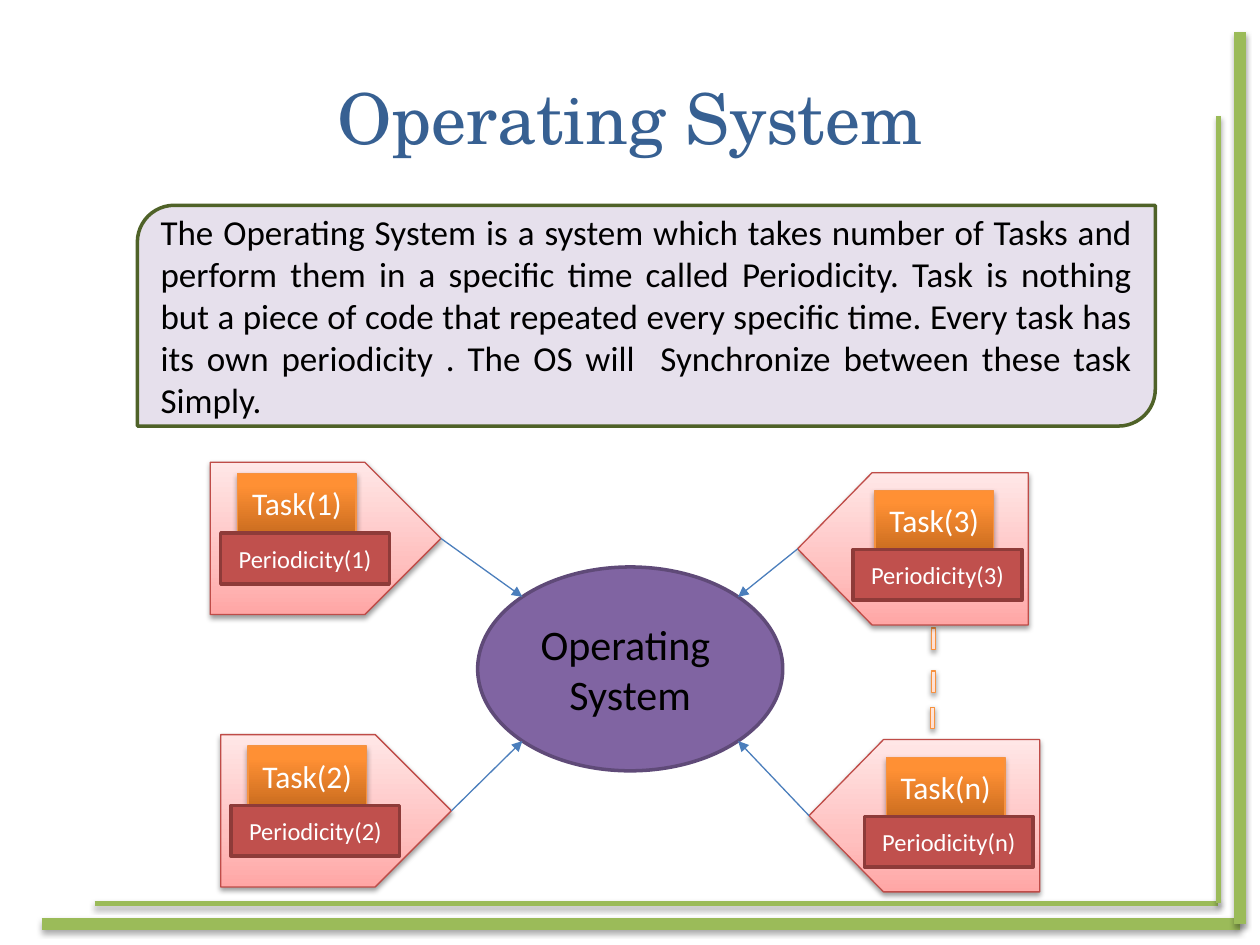
"""Build the operating system slide: tasks feeding a central scheduler."""
from dataclasses import dataclass
from math import sqrt

from lxml import etree
from pptx import Presentation
from pptx.dml.color import RGBColor
from pptx.enum import shapes, text
from pptx.oxml.ns import qn
from pptx.util import Cm, Pt

KIND = shapes.MSO_SHAPE
ALIGN = text.PP_ALIGN


@dataclass(frozen=True)
class Theme:
    """Colours, fonts and type sizes."""
    head: str = "376092"
    ink: str = "000000"
    white: str = "FFFFFF"
    frame: str = "9BBB59"
    note: str = "E6E0EC"
    moss: str = "4F6228"
    hub: str = "8064A2"
    plum: str = "5F4A78"
    brick: str = "C0504D"
    rust: str = "8E3B39"
    rose: str = "BF4C48"
    amber: str = "F69240"
    arrow: str = "4B7EBC"
    plate: tuple = ((0, "FFA6A5"), (35, "FFC0BF"), (100, "FFE7E7"))
    task: tuple = ((0, "CC6E20"), (80, "FF9034"), (100, "FF9136"))
    dash: tuple = ((0, "FFD2BD"), (35, "FFDED0"), (100, "FFF2ED"))
    serif: str = "TeX Gyre Schola"
    sans: str = "Calibri"
    title: int = 40
    large: int = 24
    body: int = 20
    label: int = 18
    small: int = 14


T = Theme()
SOFT = (38, 1.6)
HARD = (35, 1.8)
HUB = (9.63, 11.43, 6.15, 4.11)
PLATE = (4.65, 3.07)
TASKS = (
    ("1", 4.24, 9.32, False),
    ("2", 4.45, 14.81, False),
    ("3", 16.08, 9.53, True),
    ("n", 16.31, 14.91, True),
)
FRAME = (
    (1.91, 18.21, 24.56, 18.21, 3),
    (0.84, 18.62, 25, 18.62, 6.75),
    (25, 18.62, 25, 0.64, 6.75),
    (24.56, 18.21, 24.56, 2.34, 3),
)
DASHES = ((18.76, 12.83, True), (18.74, 13.56, False), (18.76, 11.96, True))
NOTE = (
    "The Operating System is a system which takes number of Tasks and perform "
    "them in a specific time called Periodicity. Task is nothing but a piece of "
    "code that repeated every specific time. Every task has its own periodicity "
    ". The OS will  Synchronize between these task Simply."
)


def rgb(code):
    """Return a colour from its hex code."""
    return RGBColor.from_string(code)


def node(parent, tag, **attrs):
    """Append a drawing element with attributes."""
    return etree.SubElement(parent, qn(tag), {k: str(v) for k, v in attrs.items()})


def shade(effect, cast):
    """Add a downward shadow to an effect list."""
    alpha, dist = cast
    drop = node(effect, "a:outerShdw", blurRad=Pt(3.1), dist=Pt(dist),
                dir=5400000, rotWithShape=0)
    tint = node(drop, "a:srgbClr", val=T.ink)
    node(tint, "a:alpha", val=alpha * 1000)


def blend(shape, stops):
    """Fill a shape with a gradient rising from its lower edge."""
    shape.fill.gradient()
    shape.fill.gradient_angle = 90
    ramp = shape._element.spPr.find(".//" + qn("a:gsLst"))
    for stop in list(ramp):
        ramp.remove(stop)
    for place, code in stops:
        node(node(ramp, "a:gs", pos=place * 1000), "a:srgbClr", val=code)


def stroke(item, code, width):
    """Set the colour and width of a line."""
    item.line.color.rgb = rgb(code)
    item.line.width = Pt(width)


def write(shape, lines, size, code, font=T.sans, align=ALIGN.CENTER):
    """Write each line as a paragraph, vertically centred."""
    frame = shape.text_frame
    frame.word_wrap = True
    frame.vertical_anchor = text.MSO_ANCHOR.MIDDLE
    for i, line in enumerate(lines):
        para = frame.add_paragraph() if i else frame.paragraphs[0]
        para.alignment = align
        run = para.add_run()
        run.text = line
        run.font.name = font
        run.font.size = Pt(size)
        run.font.color.rgb = rgb(code)


def block(slide, kind, box, fill, edge, width=0.75, cast=None, flip=False):
    """Add a preset shape with a solid or gradient fill."""
    shape = slide.shapes.add_shape(kind, *(Cm(v) for v in box))
    if isinstance(fill, str):
        shape.fill.solid()
        shape.fill.fore_color.rgb = rgb(fill)
    else:
        blend(shape, fill)
    stroke(shape, edge, width)
    shape.shadow.inherit = False
    props = shape._element.spPr
    if cast:
        shade(props.find(qn("a:effectLst")), cast)
    if flip:
        props.find(qn("a:xfrm")).set("flipH", "1")
    return shape


def link(slide, ends, code, width, cast=None, head=False):
    """Add a straight line, with a shadow or arrowhead if asked."""
    line = slide.shapes.add_connector(
        shapes.MSO_CONNECTOR.STRAIGHT, *(Cm(v) for v in ends))
    stroke(line, code, width)
    if head:
        node(line.line._get_or_add_ln(), "a:tailEnd", type="triangle")
    effect = node(line._element.spPr, "a:effectLst")
    if cast:
        shade(effect, cast)


def station(slide, name, left, top, flip):
    """Add one task plate with its labels and its arrow to the hub."""
    wide, high = PLATE
    plate = block(slide, KIND.PENTAGON, (left, top, wide, high), T.plate, T.rose,
                  cast=SOFT, flip=flip)
    plate.adjustments[0] = 0.489 if flip else 0.5
    tx, ty, px, py = (1.56, 0.36, 1.12, 1.55) if flip else (0.55, 0.23, 0.21, 1.43)
    task = block(slide, KIND.RECTANGLE, (left + tx, top + ty, 2.39, 1.19),
                 T.task, T.amber, cast=HARD)
    write(task, [f"Task({name})"], T.label, T.white)
    period = block(slide, KIND.RECTANGLE, (left + px, top + py, 3.4, 1.02),
                   T.brick, T.rust, 2)
    write(period, [f"Periodicity({name})"], T.small, T.white)

    x, y, w, h = HUB
    tip = left if flip else left + wide
    mid = top + high / 2
    dx = w / 2 / sqrt(2) * (1 if flip else -1)
    dy = h / 2 / sqrt(2) * (1 if mid > y + h / 2 else -1)
    link(slide, (tip, mid, x + w / 2 + dx, y + h / 2 + dy), T.arrow, 0.75, head=True)


def main():
    """Build and save the slide."""
    deck = Presentation()
    deck.slide_width, deck.slide_height = Cm(25.4), Cm(19.05)
    slide = deck.slides.add_slide(deck.slide_layouts[5])

    for *ends, width in FRAME:
        link(slide, ends, T.frame, width, cast=HARD)

    title = slide.shapes.title
    title.left, title.top, title.width, title.height = (
        Cm(v) for v in (1.27, 0.76, 22.86, 3.18))
    write(title, ["Operating System"], T.title, T.head, T.serif)

    note = block(slide, KIND.ROUND_2_DIAG_RECTANGLE, (2.77, 4.14, 20.52, 4.45),
                 T.note, T.moss, 2)
    write(note, [NOTE], T.body, T.ink, align=ALIGN.JUSTIFY)

    hub = block(slide, KIND.OVAL, HUB, T.hub, T.plum, 2)
    write(hub, ["Operating ", "System"], T.large, T.ink)

    for left, top, flip in DASHES:
        block(slide, KIND.MATH_MINUS, (left, top, 0.12, 1.83), T.dash, T.amber,
              cast=SOFT, flip=flip)
    for task in TASKS:
        station(slide, *task)

    deck.save("out.pptx")


main()
